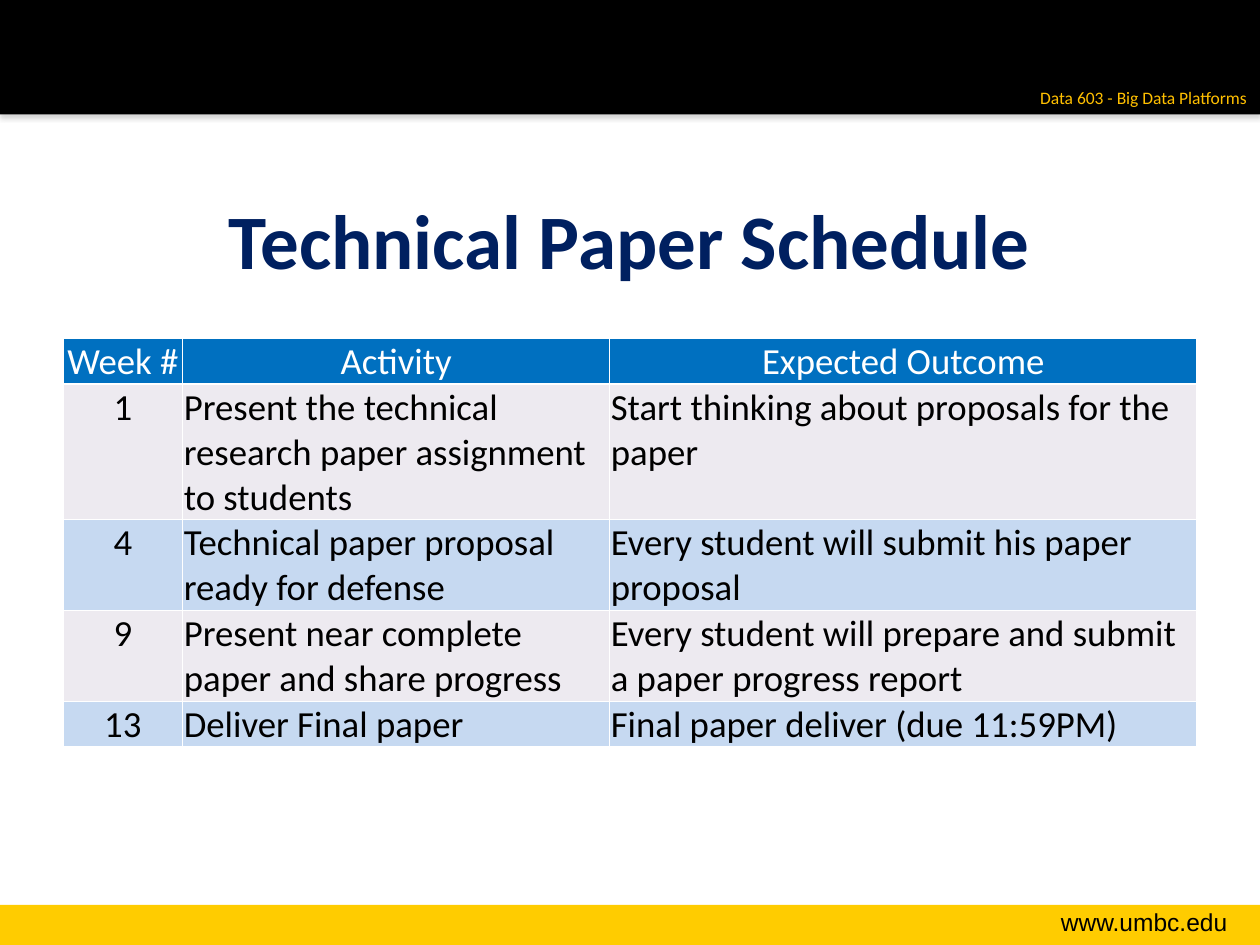
import pptx
import pptx.dml.color
import pptx.enum.shapes
import pptx.enum.text
import pptx.oxml
import pptx.oxml.ns
import pptx.util

Pt = pptx.util.Pt
ALIGN = pptx.enum.text.PP_ALIGN
ANCHOR = pptx.enum.text.MSO_ANCHOR
NS = pptx.oxml.ns.nsdecls("a")

SCHEDULE = [
    ("Week #", "Activity", "Expected Outcome"),
    ("1", "Present the technical research paper assignment to students",
     "Start thinking about proposals for the paper"),
    ("4", "Technical paper proposal ready for defense",
     "Every student will submit his paper proposal"),
    ("9", "Present near complete paper and share progress",
     "Every student will prepare and submit a paper progress report"),
    ("13", "Deliver Final paper", "Final paper deliver (due 11:59PM)"),
]
COLUMN_WIDTHS = (68.4, 244, 335.6)
LINES_PER_ROW = (1, 3, 2, 2, 1)
LINE_HEIGHT = 25.7


def color(hex_value):
    return pptx.dml.color.RGBColor.from_string(hex_value)


def paint(target, hex_value):
    target.fill.solid()
    target.fill.fore_color.rgb = color(hex_value)


def write(frame, text, font="Calibri", size=21, ink="000000", bold=False,
          align=ALIGN.LEFT):
    paragraph = frame.paragraphs[0]
    paragraph.alignment = align
    run = paragraph.add_run()
    run.text = text
    run.font.name = font
    run.font.size = Pt(size)
    run.font.bold = bold
    run.font.color.rgb = color(ink)


class SlideBuilder:
    header_fill = "0070C0"
    band_fills = ("EDEAF0", "C6D9F1")
    border = "FFFFFF"

    def __init__(self, slide):
        self.slide = slide

    def bar(self, top, height, fill):
        """Add a full-width bar without outline or shadow."""
        bar = self.slide.shapes.add_shape(
            pptx.enum.shapes.MSO_SHAPE.RECTANGLE, 0, Pt(top), Pt(720), Pt(height))
        paint(bar, fill)
        bar.line.fill.background()
        bar.shadow.inherit = False
        return bar

    def drop_shadow(self, shape):
        effects = shape._element.spPr.find(pptx.oxml.ns.qn("a:effectLst"))
        effects.append(pptx.oxml.parse_xml(
            f'<a:outerShdw {NS} blurRad="{Pt(3.1)}" dist="{Pt(1.8)}" '
            'dir="5400000" rotWithShape="0"><a:srgbClr val="808080">'
            '<a:alpha val="35000"/></a:srgbClr></a:outerShdw>'))

    def label(self, left, top, width, height, text, wrap=True, **style):
        box = self.slide.shapes.add_textbox(Pt(left), Pt(top), Pt(width), Pt(height))
        box.text_frame.word_wrap = wrap
        write(box.text_frame, text, align=ALIGN.RIGHT, **style)

    def title(self, left, top, width, height, text):
        title = self.slide.shapes.title
        title.left, title.top = Pt(left), Pt(top)
        title.width, title.height = Pt(width), Pt(height)
        title.text_frame.vertical_anchor = ANCHOR.MIDDLE
        write(title.text_frame, text, size=44, ink="002060", bold=True,
              align=ALIGN.CENTER)

    def cell_borders(self, cell):
        properties = cell._tc.get_or_add_tcPr()
        for index, side in enumerate(("lnL", "lnR", "lnT", "lnB")):
            properties.insert(index, pptx.oxml.parse_xml(
                f'<a:{side} {NS} w="{Pt(1)}"><a:solidFill>'
                f'<a:srgbClr val="{self.border}"/></a:solidFill></a:{side}>'))

    def table(self, left, top, widths, heights, rows):
        table = self.slide.shapes.add_table(
            len(rows), len(widths), Pt(left), Pt(top),
            Pt(sum(widths)), Pt(sum(heights))).table
        for column, width in zip(table.columns, widths):
            column.width = Pt(width)
        for r, texts in enumerate(rows):
            table.rows[r].height = Pt(heights[r])
            header = r == 0
            for c, text in enumerate(texts):
                cell = table.cell(r, c)
                cell.margin_left = cell.margin_right = cell.margin_top = Pt(0.7)
                cell.margin_bottom = 0
                cell.vertical_anchor = ANCHOR.BOTTOM if header else ANCHOR.TOP
                paint(cell, self.header_fill if header else self.band_fills[(r - 1) % 2])
                self.cell_borders(cell)
                write(cell.text_frame, text,
                      ink="FFFFFF" if header else "000000",
                      align=ALIGN.CENTER if header or c == 0 else ALIGN.LEFT)


def main():
    deck = pptx.Presentation()
    deck.slide_width, deck.slide_height = Pt(720), Pt(540)
    builder = SlideBuilder(deck.slides.add_slide(deck.slide_layouts[5]))

    builder.bar(517, 23, "FFCC00")
    builder.drop_shadow(builder.bar(0, 65.4, "000000"))
    builder.label(565.2, 514.8, 143.3, 24.5, "www.umbc.edu", font="Arial", size=14)
    builder.label(584.6, 46.1, 134.9, 19.4, "Data 603 - Big Data Platforms",
                  wrap=False, size=10, ink="FFC000")
    builder.title(36, 91.4, 648, 90, "Technical Paper Schedule")
    heights = [lines * LINE_HEIGHT + 0.5 for lines in LINES_PER_ROW]
    builder.table(36, 193.2, COLUMN_WIDTHS, heights, SCHEDULE)

    deck.save("out.pptx")


if __name__ == "__main__":
    main()
